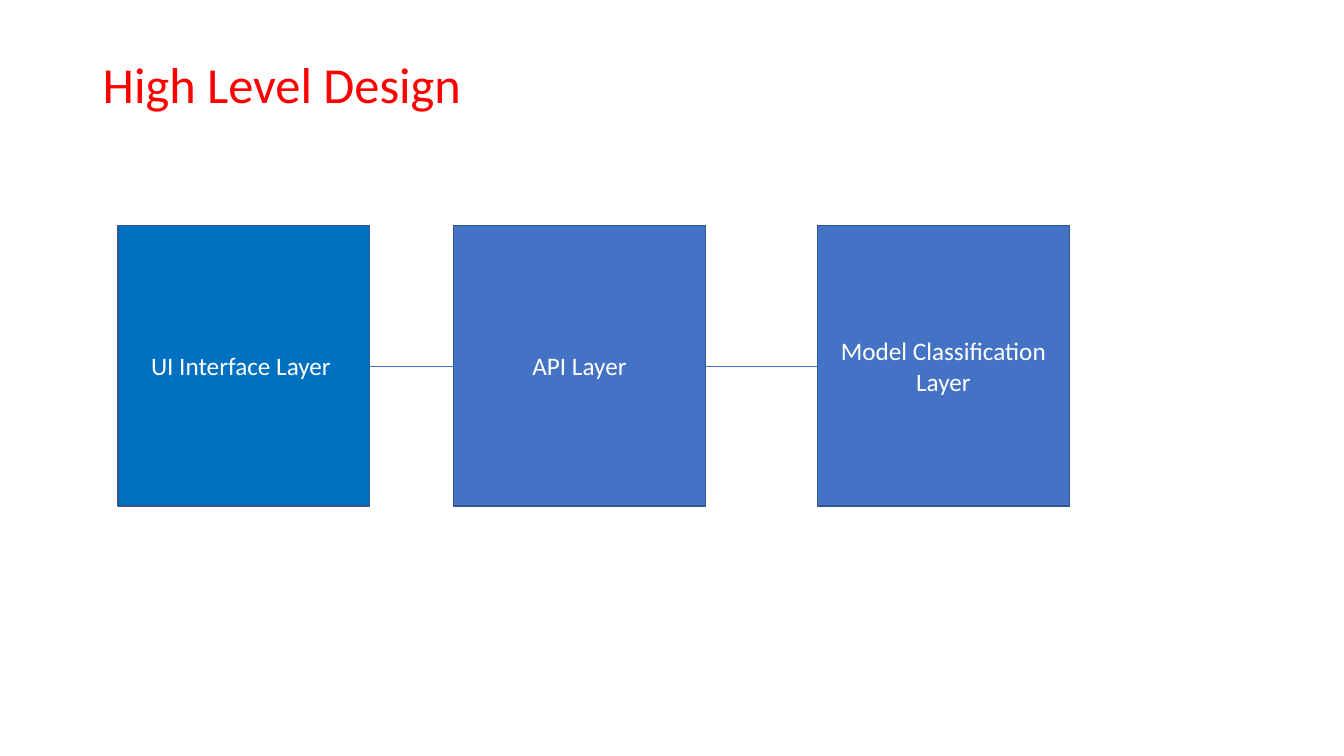
import pptx
import pptx.dml.color
import pptx.enum.shapes
import pptx.enum.text
import pptx.oxml.ns
import pptx.util
from lxml import etree

Cm = pptx.util.Cm
Pt = pptx.util.Pt

TITLE = "High Level Design"
LAYERS = [
    ("UI Interface Layer ", 2.97, "0070C0"),
    ("API Layer", 11.43, "4472C4"),
    ("Model Classification Layer", 20.6, "4472C4"),
]
TOP, WIDTH, HEIGHT = 5.69, 6.35, 7.06


def rgb(value):
    return pptx.dml.color.RGBColor.from_string(value)


def set_text(sp, text, size, color, align):
    tf = sp.text_frame
    tf.word_wrap = True
    tf.vertical_anchor = pptx.enum.text.MSO_ANCHOR.MIDDLE
    tf.text = text
    p = tf.paragraphs[0]
    p.alignment = align
    font = p.runs[0].font
    font.name = "Calibri"
    font.size = Pt(size)
    font.color.rgb = rgb(color)
    return p


def add_layer(s, text, left, fill):
    sp = s.shapes.add_shape(pptx.enum.shapes.MSO_SHAPE.RECTANGLE,
                            Cm(left), Cm(TOP), Cm(WIDTH), Cm(HEIGHT))
    sp.shadow.inherit = False
    sp.fill.solid()
    sp.fill.fore_color.rgb = rgb(fill)
    sp.line.color.rgb = rgb("325491")
    sp.line.width = Pt(1)
    set_text(sp, text, 18, "FFFFFF", pptx.enum.text.PP_ALIGN.CENTER)
    return sp


def link(s, source, target):
    cxn = s.shapes.add_connector(pptx.enum.shapes.MSO_CONNECTOR.STRAIGHT, 0, 0, 0, 0)
    cxn.begin_connect(source, 3)
    cxn.end_connect(target, 1)
    cxn.line.color.rgb = rgb("4472C4")
    cxn.line.width = Pt(0.5)
    etree.SubElement(cxn._element.spPr, pptx.oxml.ns.qn("a:effectLst"))


def main():
    prs = pptx.Presentation()
    prs.slide_width, prs.slide_height = Cm(33.87), Cm(19.05)
    s = prs.slides.add_slide(prs.slide_layouts[6])

    boxes = [add_layer(s, *layer) for layer in LAYERS]
    for source, target in zip(boxes, boxes[1:]):
        link(s, source, target)

    title = s.shapes.add_textbox(Cm(2.34), Cm(1.02), Cm(29.21), Cm(2.36))
    p = set_text(title, TITLE, 36, "FF0000", pptx.enum.text.PP_ALIGN.LEFT)
    p.line_spacing = 0.9

    prs.save("out.pptx")


if __name__ == "__main__":
    main()
